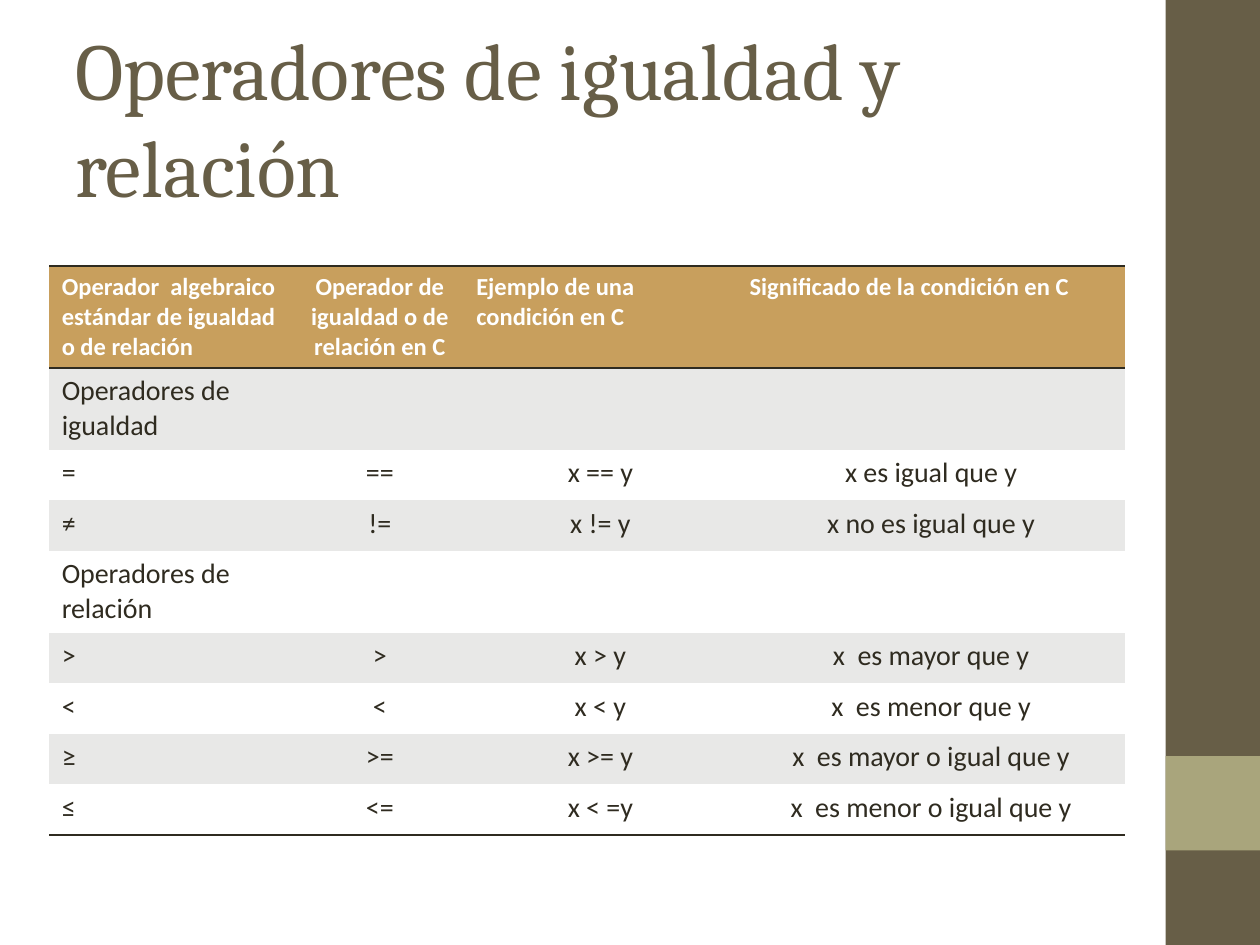
from lxml import etree
from pptx import Presentation
from pptx.dml.color import RGBColor
from pptx.enum.shapes import MSO_SHAPE
from pptx.enum.text import MSO_ANCHOR, PP_ALIGN
from pptx.oxml.ns import qn
from pptx.util import Pt

RECTANGLE = MSO_SHAPE.RECTANGLE
MIDDLE = MSO_ANCHOR.MIDDLE
LEFT, CENTER = PP_ALIGN.LEFT, PP_ALIGN.CENTER

COLORS = {
    "brown": "675E47",
    "olive": "A9A57C",
    "header": "C89F5D",
    "band": "E8E8E7",
    "white": "FFFFFF",
    "ink": "2F2B20",
}
BORDER_WIDTH = 0.96
COLUMN_WIDTHS = [141.12, 95.76, 156.24, 221.76]
HEADER_HEIGHT, SECTION_HEIGHT, OPERATOR_HEIGHT = 58.32, 46.8, 28.9
HEADERS = [
    "Operador  algebraico estándar de igualdad o de relación",
    "Operador de igualdad o de relación en C",
    "Ejemplo de una condición en C",
    "Significado de la condición en C",
]
ROWS = [
    ["Operadores de igualdad"],
    ["=", "==", "x == y", "x es igual que y"],
    ["≠", "!=", "x != y", "x no es igual que y"],
    ["Operadores de relación"],
    [">", ">", "x > y", "x  es mayor que y"],
    ["<", "<", "x < y", "x  es menor que y"],
    ["≥", ">=", "x >= y", "x  es mayor o igual que y"],
    ["≤", "<=", "x < =y", "x  es menor o igual que y"],
]


def color(name):
    return RGBColor.from_string(COLORS[name])


def add_run(paragraph, text, font_name, size, color_name, bold=False):
    run = paragraph.add_run()
    run.text = text
    run.font.name = font_name
    run.font.size = Pt(size)
    run.font.bold = bold
    run.font.color.rgb = color(color_name)


def add_block(slide, left, top, width, height, color_name):
    shape = slide.shapes.add_shape(RECTANGLE, Pt(left), Pt(top), Pt(width), Pt(height))
    shape.shadow.inherit = False
    shape.fill.solid()
    shape.fill.fore_color.rgb = color(color_name)
    shape.line.fill.background()


def add_sidebar(slide, left, top, width, height):
    add_block(slide, left, top, width, height, "brown")
    add_block(slide, left, top + height * 0.8, width, width, "olive")


def add_title(slide, left, top, width, height):
    box = slide.shapes.add_textbox(Pt(left), Pt(top), Pt(width), Pt(height))
    frame = box.text_frame
    frame.word_wrap = True
    frame.vertical_anchor = MIDDLE
    add_run(frame.paragraphs[0], "Operadores de igualdad y relación", "Cambria", 46, "brown")


def set_borders(cell, ruled_sides):
    properties = cell._tc.get_or_add_tcPr()
    for position, side in enumerate("LRTB"):
        line = etree.Element(qn("a:ln" + side), w=str(Pt(BORDER_WIDTH)))
        if side in ruled_sides:
            fill = etree.SubElement(line, qn("a:solidFill"))
            etree.SubElement(fill, qn("a:srgbClr"), val=COLORS["ink"])
        else:
            etree.SubElement(line, qn("a:noFill"))
        properties.insert(position, line)


def fill_cell(cell, text, fill_name, alignment, size, color_name, bold, ruled_sides):
    cell.fill.solid()
    cell.fill.fore_color.rgb = color(fill_name)
    set_borders(cell, ruled_sides)
    if text:
        paragraph = cell.text_frame.paragraphs[0]
        paragraph.alignment = alignment
        add_run(paragraph, text, "Calibri", size, color_name, bold)


def add_operator_table(slide, left, top, width, height):
    frame = slide.shapes.add_table(
        len(ROWS) + 1, len(HEADERS), Pt(left), Pt(top), Pt(width), Pt(height)
    )
    table = frame.table
    table.horz_banding = False
    table.first_row = False
    for column, column_width in zip(table.columns, COLUMN_WIDTHS):
        column.width = Pt(column_width)

    table.rows[0].height = Pt(HEADER_HEIGHT)
    for index, text in enumerate(HEADERS):
        alignment = CENTER if index == 1 else LEFT
        fill_cell(table.cell(0, index), text, "header", alignment, 14, "white", True, "TB")

    for row_index, texts in enumerate(ROWS, start=1):
        is_section = len(texts) == 1
        table.rows[row_index].height = Pt(SECTION_HEIGHT if is_section else OPERATOR_HEIGHT)
        fill_name = "band" if row_index % 2 else "white"
        ruled_sides = {1: "T", len(ROWS): "B"}.get(row_index, "")
        for index in range(len(HEADERS)):
            text = texts[index] if index < len(texts) else ""
            alignment = CENTER if index else LEFT
            fill_cell(table.cell(row_index, index), text, fill_name, alignment,
                      16, "ink", False, ruled_sides)


def main():
    presentation = Presentation()
    presentation.slide_width = Pt(720)
    presentation.slide_height = Pt(540)
    slide = presentation.slides.add_slide(presentation.slide_layouts[6])
    add_sidebar(slide, 666, 0, 54, 540)
    add_title(slide, 36, 21.6, 600, 90)
    add_operator_table(slide, 28.08, 151.92, sum(COLUMN_WIDTHS), 324)
    presentation.save("out.pptx")


if __name__ == "__main__":
    main()
